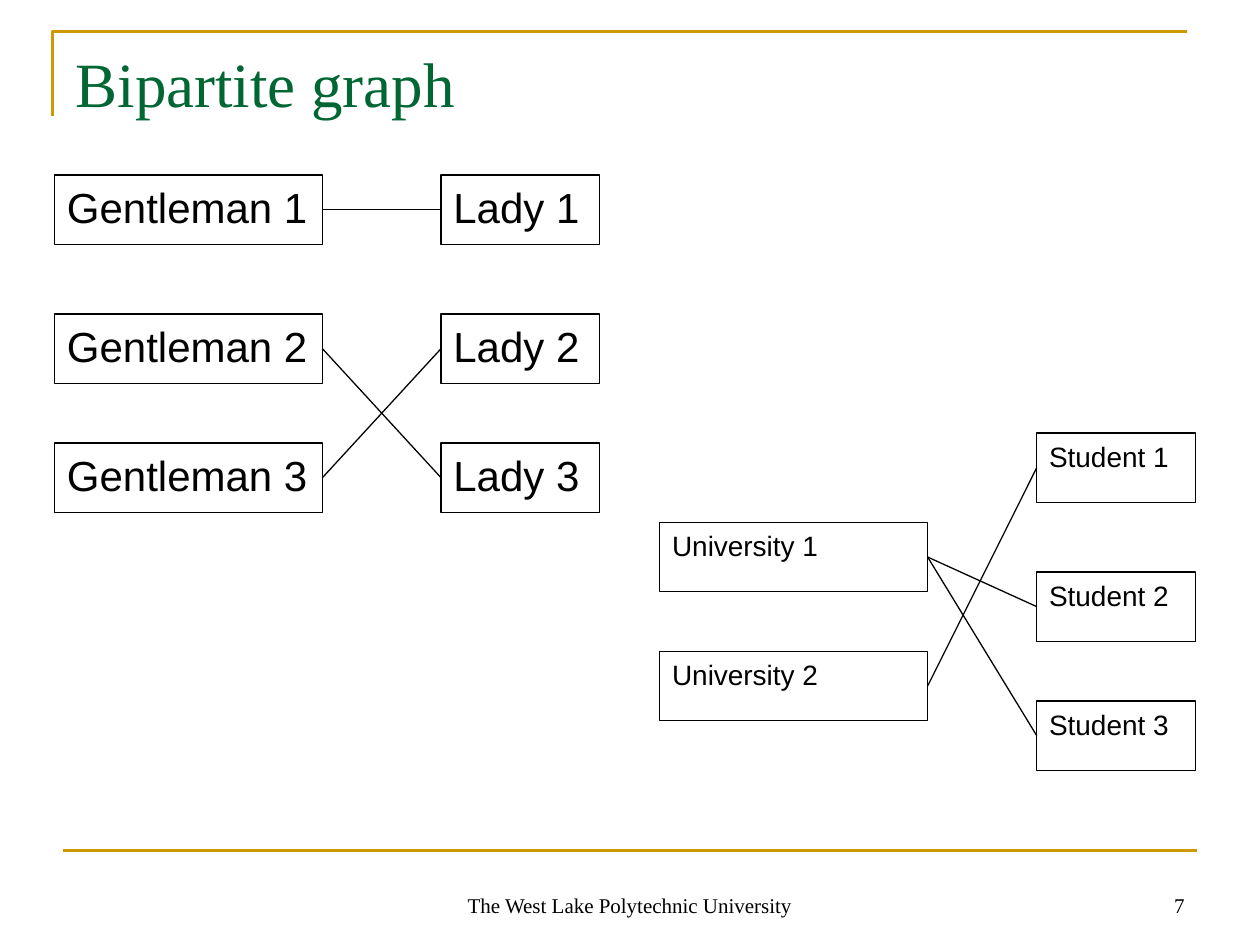
"""Build the bipartite graph slide with two matching diagrams."""
from lxml.etree import SubElement
from pptx import Presentation
from pptx.dml.color import RGBColor
from pptx.enum.shapes import MSO_CONNECTOR, MSO_SHAPE
from pptx.enum.text import MSO_ANCHOR, PP_ALIGN
from pptx.oxml.ns import qn
from pptx.util import Cm, Pt

COLORS = {"title": "006633", "rule": "CC9900", "ink": "000000", "box": "FFFFFF"}
SERIF, SANS = "Times New Roman", "Arial"
TITLE = "Bipartite graph"
FOOTERS = [
    ("7", 18.2, 5.93, PP_ALIGN.RIGHT),
    ("The West Lake Polytechnic University", 8.68, 8.04, PP_ALIGN.CENTER),
]
BOX_H = 1.4
STEPS = [0, 2.8, 5.4]
GRAPHS = [
    {
        "size": 24,
        "left": ("Gentleman", 1.1, 5.4, [3.53 + d for d in STEPS]),
        "right": ("Lady", 8.89, 3.2, [3.53 + d for d in STEPS]),
        "edges": [(1, 1), (2, 3), (3, 2)],
    },
    {
        "size": 16,
        "left": ("University", 13.3, 5.4, [10.53, 13.13]),
        "right": ("Student", 20.9, 3.2, [8.73 + d for d in STEPS]),
        "edges": [(2, 1), (1, 3), (1, 2)],
    },
]


def rgb(name):
    return RGBColor.from_string(COLORS[name])


def write(tf, text, size, font, color="ink", align=PP_ALIGN.LEFT, anchor=MSO_ANCHOR.TOP):
    tf.word_wrap = True
    tf.vertical_anchor = anchor
    p = tf.paragraphs[0]
    p.alignment = align
    r = p.add_run()
    r.text = text
    r.font.size = Pt(size)
    r.font.name = font
    r.font.color.rgb = rgb(color)


def stroke(sp, color, width):
    sp.line.color.rgb = rgb(color)
    sp.line.width = Pt(width)


def add_line(s, x1, y1, x2, y2, color="ink", width=0.75):
    ln = s.shapes.add_connector(MSO_CONNECTOR.STRAIGHT, Cm(x1), Cm(y1), Cm(x2), Cm(y2))
    stroke(ln, color, width)
    SubElement(ln._element.spPr, qn("a:effectLst"))
    return ln


def add_frame(s):
    fb = s.shapes.build_freeform(Cm(1.06), Cm(2.33))
    fb.add_line_segments([(Cm(1.06), Cm(0.64)), (Cm(23.92), Cm(0.64))], close=False)
    sp = fb.convert_to_shape()
    sp.shadow.inherit = False
    sp.fill.background()
    stroke(sp, "rule", 1.5)
    add_line(s, 1.27, 17.15, 24.13, 17.15, "rule", 1.5)


def add_boxes(s, side, size):
    name, x, w, tops = side
    boxes = []
    for i, y in enumerate(tops, 1):
        sp = s.shapes.add_shape(MSO_SHAPE.RECTANGLE, Cm(x), Cm(y), Cm(w), Cm(BOX_H))
        sp.shadow.inherit = False
        sp.fill.solid()
        sp.fill.fore_color.rgb = rgb("box")
        stroke(sp, "ink", 0.75)
        write(sp.text_frame, f"{name} {i}", size, SANS)
        boxes.append(sp)
    return boxes


def add_graph(s, graph):
    left, right = (add_boxes(s, graph[k], graph["size"]) for k in ("left", "right"))
    for a, b in graph["edges"]:
        ln = add_line(s, 0, 0, 1, 1)
        ln.begin_connect(left[a - 1], 3)
        ln.end_connect(right[b - 1], 1)


def main():
    prs = Presentation()
    prs.slide_width, prs.slide_height = Cm(25.4), Cm(19.05)
    s = prs.slides.add_slide(prs.slide_layouts[5])
    add_frame(s)
    title = s.shapes.title
    title.left, title.top, title.width, title.height = Cm(1.27), Cm(0.76), Cm(22.86), Cm(3.18)
    write(title.text_frame, TITLE, 36, SERIF, "title")
    for text, x, w, align in FOOTERS:
        tb = s.shapes.add_textbox(Cm(x), Cm(17.36), Cm(w), Cm(1.27))
        write(tb.text_frame, text, 12, SERIF, align=align, anchor=MSO_ANCHOR.BOTTOM)
    for graph in GRAPHS:
        add_graph(s, graph)
    prs.save("out.pptx")


if __name__ == "__main__":
    main()
